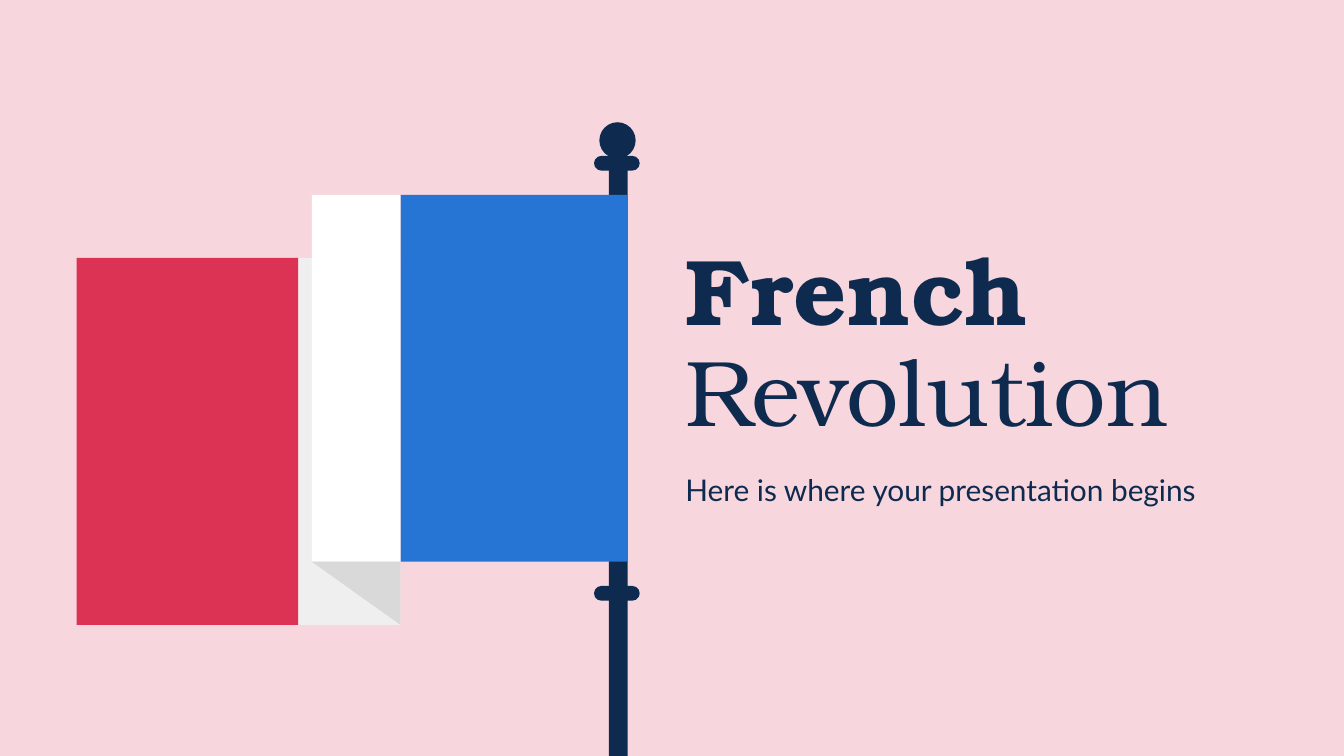
from dataclasses import dataclass

from pptx import Presentation
from pptx.dml.color import RGBColor
from pptx.enum.shapes import MSO_SHAPE
from pptx.enum.text import MSO_ANCHOR, MSO_AUTO_SIZE, PP_ALIGN
from pptx.util import Inches, Pt


@dataclass(frozen=True)
class Theme:
    background: str = "F7D6DD"
    navy: str = "0E2B4F"
    red: str = "DC3354"
    blue: str = "2674D4"
    white: str = "FFFFFF"
    shade: str = "EFEFEF"
    fold: str = "D9D9D9"
    title_font: str = "TeX Gyre Bonum"
    body_font: str = "Lato"
    title_size: int = 50
    body_size: int = 16


theme = Theme()


def paint(shape, color):
    shape.shadow.inherit = False
    shape.fill.solid()
    shape.fill.fore_color.rgb = RGBColor.from_string(color)
    shape.line.fill.background()


def set_text(placeholder, box, anchor, texts, font_name, size):
    placeholder.left, placeholder.top, placeholder.width, placeholder.height = map(Inches, box)
    frame = placeholder.text_frame
    frame.word_wrap = True
    frame.auto_size = MSO_AUTO_SIZE.NONE
    frame.vertical_anchor = anchor
    frame.margin_left = frame.margin_right = Inches(0.1)
    frame.margin_top = frame.margin_bottom = Inches(0.1)
    paragraph = frame.paragraphs[0]
    paragraph.alignment = PP_ALIGN.LEFT
    paragraph.space_before = Pt(0)
    paragraph.font.name = font_name
    paragraph.font.size = Pt(size)
    paragraph.font.color.rgb = RGBColor.from_string(theme.navy)
    for text, bold in texts:
        run = paragraph.add_run()
        run.text = text
        run.font.bold = bold
    return paragraph


# Widescreen slide, 16 to 9
presentation = Presentation()
presentation.slide_width = Inches(10)
presentation.slide_height = Inches(10) * 9 // 16
slide = presentation.slides.add_slide(presentation.slide_layouts[0])
slide.background.fill.solid()
slide.background.fill.fore_color.rgb = RGBColor.from_string(theme.background)

# Title and subtitle
title = set_text(slide.shapes.title, (5, 1.64, 4.32, 1.86), MSO_ANCHOR.MIDDLE,
                 [("French", True), (" Revolution", False)],
                 theme.title_font, theme.title_size)
title.line_spacing = 0.9
set_text(slide.placeholders[1], (5, 3.41, 4.32, 0.47), MSO_ANCHOR.TOP,
         [("Here is where your presentation begins", False)],
         theme.body_font, theme.body_size)

# Flag edges: the front panels hang higher than the back ones
panel_height = 2.73
front_top, back_top = 1.45, 1.92
front_bottom, back_bottom = front_top + panel_height, back_top + panel_height
red_left, shade_left, white_left, blue_left, flag_right = 0.57, 2.22, 2.32, 2.98, 4.67

flag = slide.shapes.add_group_shape()

# Pole with its two rings and ball
pole_parts = [
    (MSO_SHAPE.RECTANGLE, 4.53, 1.21, 0.14, 5.18),
    (MSO_SHAPE.ROUNDED_RECTANGLE, 4.42, 1.16, 0.34, 0.11),
    (MSO_SHAPE.ROUNDED_RECTANGLE, 4.42, 4.36, 0.34, 0.11),
    (MSO_SHAPE.OVAL, 4.46, 0.91, 0.27, 0.27),
]
for kind, *box in pole_parts:
    part = flag.shapes.add_shape(kind, *map(Inches, box))
    if kind == MSO_SHAPE.ROUNDED_RECTANGLE:
        part.adjustments[0] = 0.5
    paint(part, theme.navy)

# Back and front cloth panels
panels = [
    (red_left, shade_left, back_top, theme.red),
    (shade_left, blue_left, back_top, theme.shade),
    (blue_left, flag_right, front_top, theme.blue),
    (white_left, blue_left, front_top, theme.white),
]
for left, right, top, color in panels:
    panel = flag.shapes.add_shape(MSO_SHAPE.RECTANGLE, Inches(left), Inches(top),
                                  Inches(right - left), Inches(panel_height))
    paint(panel, color)

# Shaded triangle under the fold
builder = flag.shapes.build_freeform(Inches(white_left), Inches(front_bottom))
builder.add_line_segments([(Inches(blue_left), Inches(back_bottom)),
                           (Inches(blue_left), Inches(front_bottom))], close=True)
paint(builder.convert_to_shape(), theme.fold)

presentation.save("out.pptx")
